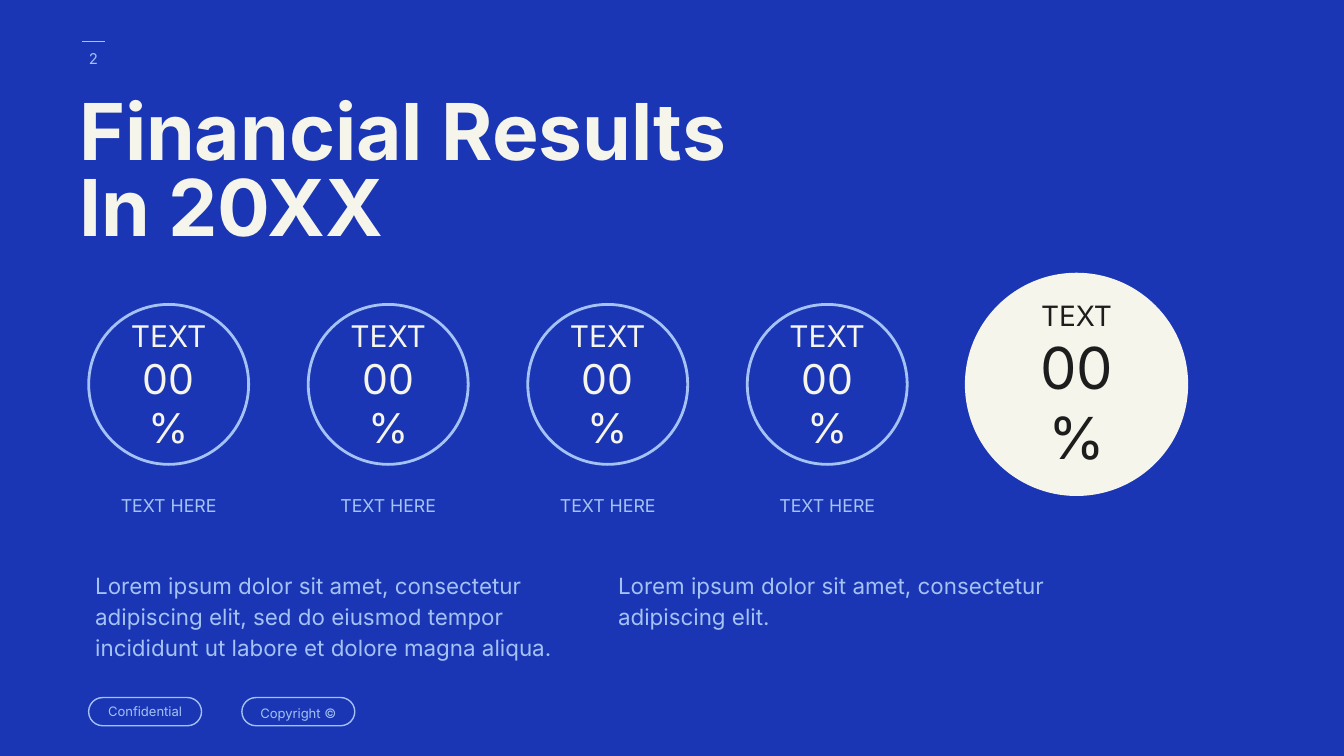
from dataclasses import dataclass

from lxml.etree import SubElement
from pptx import Presentation
from pptx.dml.color import RGBColor
from pptx.enum.shapes import MSO_CONNECTOR, MSO_SHAPE
from pptx.enum.text import MSO_ANCHOR, PP_ALIGN
from pptx.oxml.ns import qn
from pptx.util import Inches, Pt


@dataclass(frozen=True)
class Theme:
    blue: str = "1A36B4"
    sky: str = "A4C2F4"
    cream: str = "F6F5EC"
    ink: str = "1D1D1D"
    font: str = "Inter"
    title: float = 42
    body: float = 12
    label: float = 9.5
    page: float = 8
    tag: float = 7
    ring: tuple = (16, 22)
    total: tuple = (15, 31)
    thin: float = 0.75
    thick: float = 1.5


THEME = Theme()


def color(code):
    return RGBColor.from_string(code)


def write(shape, lines, sizes, tint, align=PP_ALIGN.LEFT,
          anchor=MSO_ANCHOR.TOP, space=1.0, bold=False):
    frame = shape.text_frame
    frame.word_wrap = True
    frame.vertical_anchor = anchor
    frame.margin_left = frame.margin_right = Inches(0.1)
    frame.margin_top = frame.margin_bottom = Inches(0.1)
    frame.text = "\n".join(lines)
    for para, size in zip(frame.paragraphs, sizes):
        para.alignment = align
        para.line_spacing = space
        for run in para.runs:
            run.font.name = THEME.font
            run.font.size = Pt(size)
            run.font.bold = bold
            run.font.color.rgb = color(tint)


def add_text(slide, box, lines, size, tint, **style):
    shape = slide.shapes.add_textbox(*map(Inches, box))
    write(shape, lines, [size] * len(lines), tint, **style)


def add_form(slide, kind, box, edge, width, fill=None):
    shape = slide.shapes.add_shape(kind, *map(Inches, box))
    shape.shadow.inherit = False
    if fill:
        shape.fill.solid()
        shape.fill.fore_color.rgb = color(fill)
    else:
        shape.fill.background()
    shape.line.color.rgb = color(edge)
    shape.line.width = Pt(width)
    return shape


def add_header(slide, left, top, width, height):
    line = slide.shapes.add_connector(
        MSO_CONNECTOR.STRAIGHT, Inches(left + 0.32), Inches(top + 0.09),
        Inches(left + 0.15), Inches(top + 0.09))
    line.line.color.rgb = color(THEME.sky)
    line.line.width = Pt(THEME.thin)
    SubElement(line._element.spPr, qn("a:effectLst"))
    add_text(slide, (left, top, 0.47, 0.43), ["2"], THEME.page, THEME.sky,
             align=PP_ALIGN.CENTER, anchor=MSO_ANCHOR.MIDDLE)
    add_text(slide, (left + 0.03, top + 0.43, width - 0.03, height - 0.43),
             ["Financial Results", "In 20XX"], THEME.title, THEME.cream,
             space=0.8, bold=True)


def add_disc(slide, box, sizes, tint, edge, fill=None):
    disc = add_form(slide, MSO_SHAPE.FLOWCHART_CONNECTOR, box, edge,
                    THEME.thick, fill)
    write(disc, ["TEXT", "00%"], sizes, tint, align=PP_ALIGN.CENTER,
          anchor=MSO_ANCHOR.MIDDLE)


def add_stats(slide, left, top, width, height):
    total, ring, count = 1.64, 1.19, 4
    step = (width - total - 0.44 - ring) / (count - 1)
    inset = (total - ring) / 2
    for index in range(count):
        x = left + index * step
        add_disc(slide, (x, top + inset, ring, ring), THEME.ring,
                 THEME.cream, THEME.sky)
        add_text(slide, (x, top + height - 0.36, ring, 0.36), ["TEXT HERE"],
                 THEME.label, THEME.sky, align=PP_ALIGN.CENTER, space=1.15)
    add_disc(slide, (left + width - total, top, total, total), THEME.total,
             THEME.ink, THEME.cream, THEME.cream)


def add_body(slide, left, top, width, height):
    lead = "Lorem ipsum dolor sit amet, consectetur adipiscing elit"
    texts = (
        f"{lead}, sed do eiusmod tempor incididunt ut labore et dolore "
        "magna aliqua.",
        f"{lead}.",
    )
    column = width / len(texts)
    for index, text in enumerate(texts):
        add_text(slide, (left + index * column, top, column, height), [text],
                 THEME.body, THEME.sky, space=1.15)


def add_footer(slide, left, top, width, height):
    size = 0.84
    tags = (("Confidential", left, 1.0),
            ("Copyright ©", left + width - size, 1.15))
    for text, x, space in tags:
        pill = add_form(slide, MSO_SHAPE.ROUNDED_RECTANGLE,
                        (x, top, size, height), THEME.sky, THEME.thin)
        pill.adjustments[0] = 0.5
        write(pill, [text], [THEME.tag], THEME.sky, align=PP_ALIGN.CENTER,
              anchor=MSO_ANCHOR.MIDDLE, space=space)


def main():
    deck = Presentation()
    deck.slide_width = Inches(10)
    deck.slide_height = Inches(10 * 9 / 16)
    slide = deck.slides.add_slide(deck.slide_layouts[6])
    slide.background.fill.solid()
    slide.background.fill.fore_color.rgb = color(THEME.blue)
    add_header(slide, 0.46, 0.22, 6.73, 2)
    add_stats(slide, 0.66, 2.04, 8.17, 1.89)
    add_body(slide, 0.61, 4.13, 7.78, 0.99)
    add_footer(slide, 0.66, 5.19, 1.98, 0.21)
    deck.save("out.pptx")


if __name__ == "__main__":
    main()
